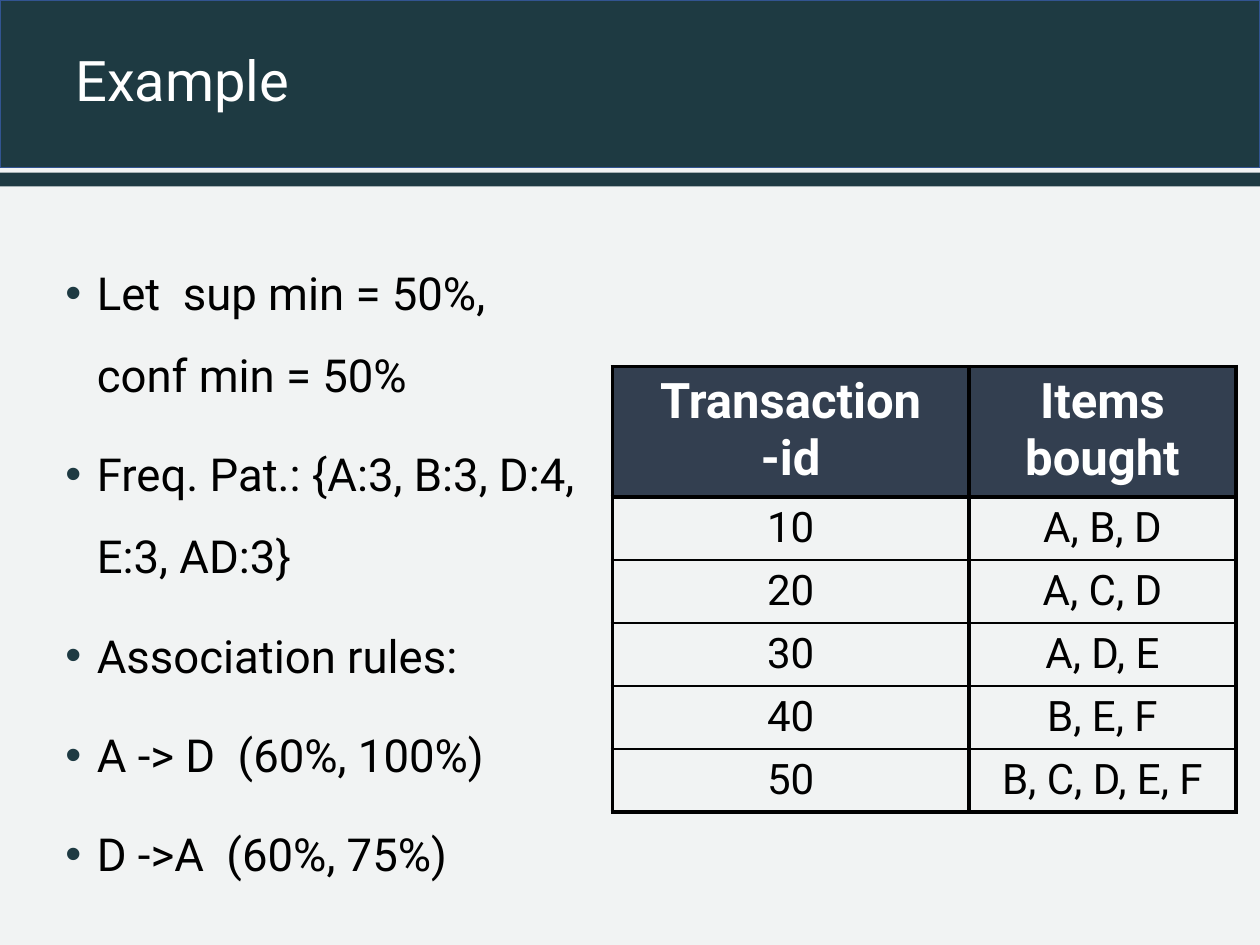
from pptx import Presentation
from pptx.dml.color import RGBColor
from pptx.enum.shapes import MSO_SHAPE
from pptx.enum.text import MSO_ANCHOR, PP_ALIGN
from pptx.oxml import parse_xml
from pptx.oxml.ns import nsdecls
from pptx.util import Inches, Pt

RECT = MSO_SHAPE.RECTANGLE
MIDDLE = MSO_ANCHOR.MIDDLE
CENTER = PP_ALIGN.CENTER

TEAL = RGBColor(0x1E, 0x3A, 0x42)
PALE = RGBColor(0xF1, 0xF3, 0xF3)
BLUE = RGBColor(0x32, 0x54, 0x91)
SLATE = RGBColor(0x33, 0x3F, 0x50)
WHITE = RGBColor(0xFF, 0xFF, 0xFF)
BLACK = RGBColor(0x00, 0x00, 0x00)

FONT = "Roboto"
COLS, ROWS = 100, 75
THICK, THIN = 2.25, 1

RULES = [
    "Let  sup min = 50%,\nconf min = 50%",
    "Freq. Pat.: {A:3, B:3, D:4, E:3, AD:3}",
    "Association rules:",
    "A -> D  (60%, 100%)",
    "D ->A  (60%, 75%)",
]
ORDERS = [
    ("Transaction\n-id", "Items bought"),
    ("10", "A, B, D"),
    ("20", "A, C, D"),
    ("30", "A, D, E"),
    ("40", "B, E, F"),
    ("50", "B, C, D, E, F"),
]


class Page:
    def __init__(self, deck):
        self.slide = deck.slides.add_slide(deck.slide_layouts[6])
        self.col = deck.slide_width / COLS
        self.row = deck.slide_height / ROWS
        ground = self.slide.background.fill
        ground.solid()
        ground.fore_color.rgb = PALE

    def place(self, x, y, w, h):
        return (round(x * self.col), round(y * self.row),
                round(w * self.col), round(h * self.row))

    def label(self, para, text, size, color, bold=False):
        for i, part in enumerate(text.split("\n")):
            if i:
                para.add_line_break()
            run = para.add_run()
            run.text = part
            font = run.font
            font.name, font.size, font.bold = FONT, Pt(size), bold
            font.color.rgb = color

    def band(self, box, edge=None):
        shape = self.slide.shapes.add_shape(RECT, *self.place(*box))
        shape.shadow.inherit = False
        shape.fill.solid()
        shape.fill.fore_color.rgb = TEAL
        if edge is None:
            shape.line.fill.background()
        else:
            shape.line.color.rgb = edge
            shape.line.width = Pt(1)

    def frame(self, box):
        frame = self.slide.shapes.add_textbox(*self.place(*box)).text_frame
        frame.word_wrap = True
        return frame

    def title(self, box, text):
        frame = self.frame(box)
        frame.vertical_anchor = MIDDLE
        para = frame.paragraphs[0]
        para.line_spacing = 0.9
        self.label(para, text, 32, WHITE)

    def bullets(self, box, lines):
        frame = self.frame(box)
        for i, text in enumerate(lines):
            para = frame.add_paragraph() if i else frame.paragraphs[0]
            para.line_spacing = 1.5
            if i:
                para.space_before = Pt(10)
            props = para._p.get_or_add_pPr()
            props.set("marL", str(Inches(0.25)))
            props.set("indent", str(-Inches(0.25)))
            props.append(parse_xml(
                f'<a:buClr {nsdecls("a")}><a:srgbClr val="{TEAL}"/></a:buClr>'))
            props.append(parse_xml(
                f'<a:buFont {nsdecls("a")} typeface="Arial"/>'))
            props.append(parse_xml(f'<a:buChar {nsdecls("a")} char="•"/>'))
            self.label(para, text, 26, BLACK)

    def border(self, cell, top, base):
        props = cell._tc.get_or_add_tcPr()
        sides = (("L", THICK), ("R", THICK), ("T", top), ("B", base))
        for i, (side, width) in enumerate(sides):
            props.insert(i, parse_xml(
                f'<a:ln{side} {nsdecls("a")} w="{Pt(width)}"><a:solidFill>'
                f'<a:srgbClr val="{BLACK}"/></a:solidFill></a:ln{side}>'))

    def table(self, spot, widths, heights, data):
        box = self.place(*spot, sum(widths), sum(heights))
        table = self.slide.shapes.add_table(
            len(heights), len(widths), *box).table
        table.first_row = table.horz_banding = False
        for col, width in zip(table.columns, widths):
            col.width = round(width * self.col)
        last = len(data) - 1
        for r, (row, height) in enumerate(zip(table.rows, heights)):
            row.height = round(height * self.row)
            head = r == 0
            for cell, text in zip(row.cells, data[r]):
                if head:
                    cell.fill.solid()
                    cell.fill.fore_color.rgb = SLATE
                else:
                    cell.fill.background()
                self.border(cell, THICK if r < 2 else THIN,
                            THICK if r in (0, last) else THIN)
                para = cell.text_frame.paragraphs[0]
                para.alignment = CENTER
                self.label(para, text, 28 if head else 24,
                           WHITE if head else BLACK, head)


def main():
    deck = Presentation()
    deck.slide_width, deck.slide_height = Inches(10), Inches(7.5)
    page = Page(deck)
    page.band((0, 0, COLS, 13.3), BLUE)
    page.band((0, 13.7, COLS, 1.1))
    page.title((5, 0, 95, 13.3), "Example")
    page.bullets((4.2, 18.4, 44.5, 56.6), RULES)
    page.table((48.6, 29.1), (28.3, 21.2), [10.1] + [4.9] * 5, ORDERS)
    deck.save("out.pptx")


if __name__ == "__main__":
    main()
